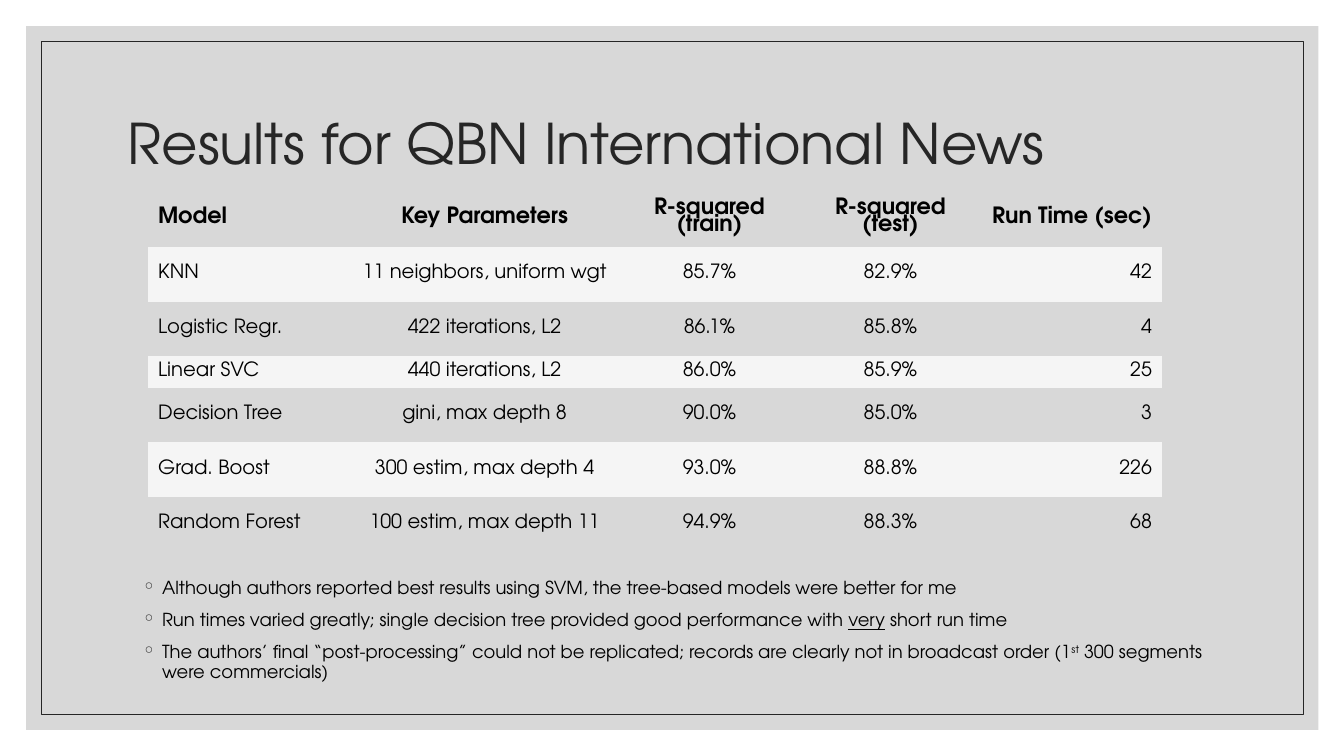
from lxml import etree
from pptx import Presentation
from pptx.dml.color import RGBColor
from pptx.enum.shapes import MSO_SHAPE
from pptx.enum.text import MSO_ANCHOR, PP_ALIGN
from pptx.oxml.ns import qn
from pptx.util import Pt

RECTANGLE = MSO_SHAPE.RECTANGLE
MIDDLE = MSO_ANCHOR.MIDDLE
LEFT, CENTER, RIGHT = PP_ALIGN.LEFT, PP_ALIGN.CENTER, PP_ALIGN.RIGHT

FONT = "TeX Gyre Adventor"
COLORS = {"panel": "BFBFBF", "dark": "262626", "text": "000000", "band": "F5F5F5"}

RESULTS = [
    ("Model", "Key Parameters", "R-squared (train)", "R-squared (test)", "Run Time (sec)"),
    ("KNN", "11 neighbors, uniform wgt", "85.7%", "82.9%", "42"),
    ("Logistic Regr.", "422 iterations, L2", "86.1%", "85.8%", "4"),
    ("Linear SVC", "440 iterations, L2", "86.0%", "85.9%", "25"),
    ("Decision Tree", "gini, max depth 8", "90.0%", "85.0%", "3"),
    ("Grad. Boost", "300 estim, max depth 4", "93.0%", "88.8%", "226"),
    ("Random Forest", "100 estim, max depth 11", "94.9%", "88.3%", "68"),
]
COLUMN_WIDTHS = [144.7, 191.5, 129.6, 128.9, 129.6]
ROW_HEIGHTS = [41, 39.1, 39.1, 22.3, 39.1, 39.1, 39.1]
COLUMN_ALIGNS = [LEFT, CENTER, CENTER, CENTER, RIGHT]

# Each finding is a list of (text, style) runs.
FINDINGS = [
    [("Although authors reported best results using SVM, "
      "the tree-based models were better for me", None)],
    [("Run times varied greatly; single decision tree provided good performance with ", None),
     ("very", "underline"), (" short run time", None)],
    [("The authors’ final “post-processing” could not be replicated; "
      "records are clearly not in broadcast order (1", None),
     ("st", "superscript"), (" 300 segments were commercials)", None)],
]


class SlideBuilder:
    """Holds the slide and its style, and draws each kind of element."""

    def __init__(self, slide):
        """Keep the slide to draw on."""
        self.slide = slide

    def color(self, name):
        """Return the named colour."""
        return RGBColor.from_string(COLORS[name])

    def style(self, paragraph, size, color="text", spacing=0.9, bold=False):
        """Set the font and line spacing of a paragraph."""
        paragraph.line_spacing = spacing
        font = paragraph.font
        font.name, font.size, font.bold = FONT, Pt(size), bold
        font.color.rgb = self.color(color)

    def rectangle(self, box, fill=None, opacity=100, line=None):
        """Draw a rectangle with an optional fill and thin line."""
        shape = self.slide.shapes.add_shape(RECTANGLE, *map(Pt, box))
        shape.shadow.inherit = False
        if fill:
            shape.fill.solid()
            shape.fill.fore_color.rgb = self.color(fill)
            rgb = shape.fill._xPr.find(".//" + qn("a:srgbClr"))
            etree.SubElement(rgb, qn("a:alpha"), val=str(opacity * 1000))
        else:
            shape.fill.background()
        if line:
            shape.line.color.rgb = self.color(line)
            shape.line.width = Pt(0.5)
        else:
            shape.line.fill.background()

    def text_frame(self, box):
        """Add a wrapping text box and return its frame."""
        frame = self.slide.shapes.add_textbox(*map(Pt, box)).text_frame
        frame.word_wrap = True
        return frame

    def title(self, box, text):
        """Write the slide title."""
        frame = self.text_frame(box)
        frame.vertical_anchor = MIDDLE
        heading = frame.paragraphs[0]
        heading.text = text
        self.style(heading, 40, "dark")

    def bullets(self, box, items):
        """Write a bulleted list of styled runs."""
        frame = self.text_frame(box)
        for index, item in enumerate(items):
            paragraph = frame.add_paragraph() if index else frame.paragraphs[0]
            self.style(paragraph, 12.8)
            paragraph.space_before = Pt(9)
            self.add_bullet(paragraph)
            for text, emphasis in item:
                run = paragraph.add_run()
                run.text = text
                if emphasis == "underline":
                    run.font.underline = True
                elif emphasis == "superscript":
                    run.font._element.set("baseline", "30000")

    def add_bullet(self, paragraph):
        """Give a paragraph a hanging ring bullet."""
        properties = paragraph._p.get_or_add_pPr()
        indent = Pt(14.4)
        properties.set("marL", str(indent))
        properties.set("indent", str(-indent))
        bullet = etree.Element(qn("a:buChar"), char="◦")
        bullet_color = etree.Element(qn("a:buClr"))
        etree.SubElement(bullet_color, qn("a:srgbClr"), val=COLORS["dark"])
        defaults = properties.find(qn("a:defRPr"))
        defaults.addprevious(bullet_color)
        defaults.addprevious(bullet)

    def table(self, left, top, rows, widths, heights, aligns):
        """Draw a table with a bold header and every other row banded."""
        table = self.slide.shapes.add_table(
            len(rows), len(widths), Pt(left), Pt(top), Pt(sum(widths)), Pt(sum(heights))).table
        table.first_row = table.horz_banding = False
        # The "No Style, No Grid" table style leaves out all borders.
        table._tbl.tblPr.find(qn("a:tableStyleId")).text = "{2D5ABB26-0587-4C30-8999-92F81FD0307C}"
        for column, width in zip(table.columns, widths):
            column.width = Pt(width)
        for index, (row, height) in enumerate(zip(rows, heights)):
            table.rows[index].height = Pt(height)
            for cell, text, align in zip(table.rows[index].cells, row, aligns):
                cell.vertical_anchor = MIDDLE
                if index % 2:
                    cell.fill.solid()
                    cell.fill.fore_color.rgb = self.color("band")
                else:
                    cell.fill.background()
                paragraph = cell.text_frame.paragraphs[0]
                paragraph.text = text
                paragraph.alignment = align
                header = index == 0
                self.style(paragraph, 16 if header else 14, spacing=0.8, bold=header)
                # Table cells take their run fonts directly.
                font = paragraph.runs[0].font
                font.name, font.size, font.bold = FONT, paragraph.font.size, header


def main():
    """Build and save the results slide."""
    deck = Presentation()
    deck.slide_width, deck.slide_height = Pt(960), Pt(540)
    results = SlideBuilder(deck.slides.add_slide(deck.slide_layouts[6]))
    results.rectangle((18.7, 18.7, 923, 502.6), fill="panel", opacity=60)
    results.rectangle((29.5, 29.5, 901.4, 481), line="dark")
    results.title((84.2, 50.4, 792, 108), "Results for QBN International News")
    results.bullets((94.3, 410.4, 792, 84.2), FINDINGS)
    results.table(105.8, 135.4, RESULTS, COLUMN_WIDTHS, ROW_HEIGHTS, COLUMN_ALIGNS)
    deck.save("out.pptx")


main()
